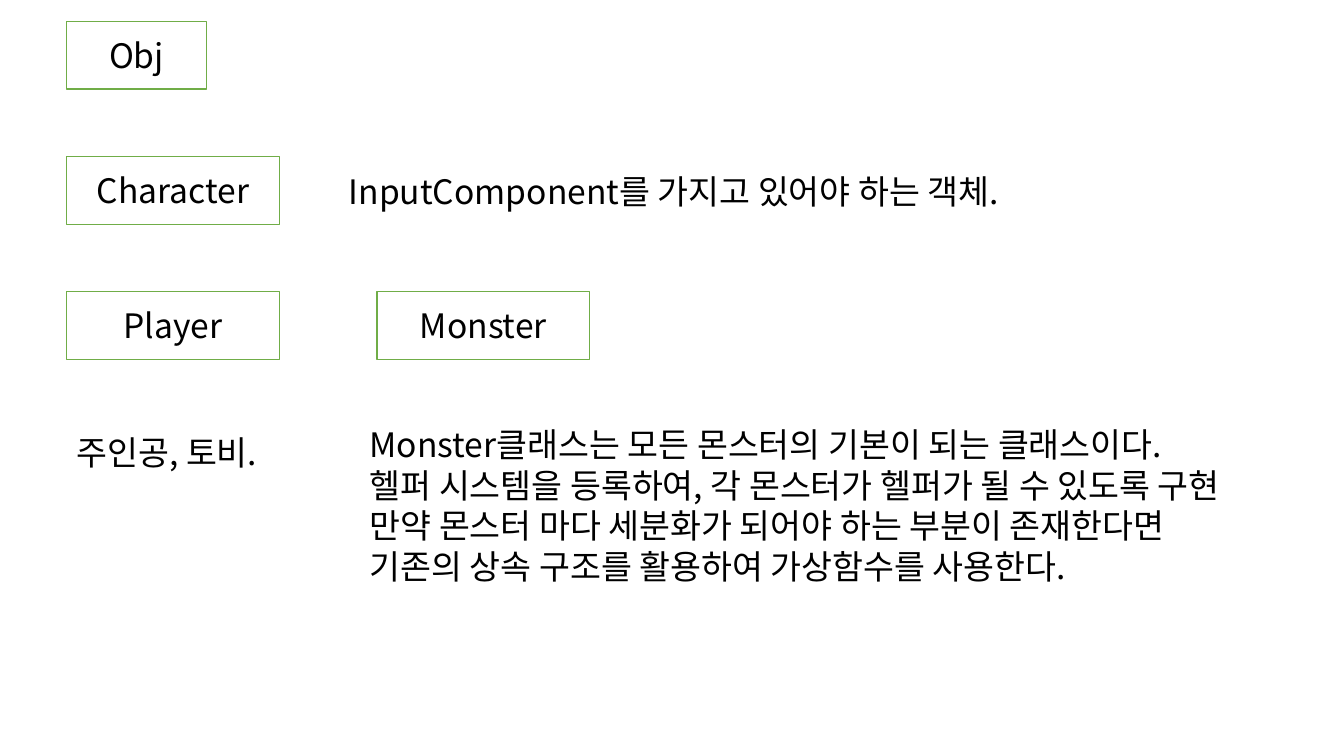
import pptx
import pptx.dml.color
import pptx.enum.shapes
import pptx.enum.text
import pptx.oxml
import pptx.oxml.ns
import pptx.util

Pt = pptx.util.Pt
GREEN = pptx.dml.color.RGBColor(0x70, 0xAD, 0x47)
WHITE = pptx.dml.color.RGBColor(0xFF, 0xFF, 0xFF)
BLACK = pptx.dml.color.RGBColor(0x00, 0x00, 0x00)
FONT = "Noto Sans CJK KR"

LEFT = 47.5
CLASS_TOP = 15.4
CLASS_PITCH = 96.5
CLASS_HEIGHT = 48.3
MONSTER_LEFT = 269.3


def add_text(para, text):
    span = para.add_run()
    span.text = text
    span.font.size = Pt(24)
    span.font.name = FONT
    span.font.color.rgb = BLACK
    east_asian = pptx.oxml.parse_xml(
        f'<a:ea {pptx.oxml.ns.nsdecls("a")} typeface="{FONT}"/>')
    span.font._element.append(east_asian)


deck = pptx.Presentation()
deck.slide_width = Pt(960)
deck.slide_height = Pt(540)
page = deck.slides.add_slide(deck.slide_layouts[6])

# Class boxes: name, row, left, width
classes = [
    ("Obj", 0, LEFT, 100),
    ("Character", 1, LEFT, 152),
    ("Player", 2, LEFT, 152),
    ("Monster", 2, MONSTER_LEFT, 152),
]
for name, row, left, width in classes:
    box = page.shapes.add_shape(
        pptx.enum.shapes.MSO_SHAPE.RECTANGLE,
        Pt(left), Pt(CLASS_TOP + row * CLASS_PITCH), Pt(width), Pt(CLASS_HEIGHT))
    box.shadow.inherit = False
    box.fill.solid()
    box.fill.fore_color.rgb = WHITE
    box.line.color.rgb = GREEN
    box.line.width = Pt(1)
    box.text_frame.vertical_anchor = pptx.enum.text.MSO_ANCHOR.MIDDLE
    para = box.text_frame.paragraphs[0]
    para.alignment = pptx.enum.text.PP_ALIGN.CENTER
    add_text(para, name)

# Descriptions: left, top, width, height, lines
descriptions = [
    (242, 118, 507.5, 36, ["InputComponent를 가지고 있어야 하는 객체."]),
    (257, 299, 703, 124, [
        "Monster클래스는 모든 몬스터의 기본이 되는 클래스이다.",
        "헬퍼 시스템을 등록하여, 각 몬스터가 헬퍼가 될 수 있도록 구현",
        "만약 몬스터 마다 세분화가 되어야 하는 부분이 존재한다면",
        "기존의 상속 구조를 활용하여 가상함수를 사용한다.",
    ]),
    (LEFT, 304.5, 155, 36, ["주인공, 토비."]),
]
for left, top, width, height, lines in descriptions:
    box = page.shapes.add_textbox(Pt(left), Pt(top), Pt(width), Pt(height))
    frame = box.text_frame
    frame.word_wrap = False
    frame.auto_size = pptx.enum.text.MSO_AUTO_SIZE.SHAPE_TO_FIT_TEXT
    for index, line in enumerate(lines):
        para = frame.add_paragraph() if index else frame.paragraphs[0]
        para.line_spacing = Pt(29)
        add_text(para, line)

deck.save("out.pptx")
